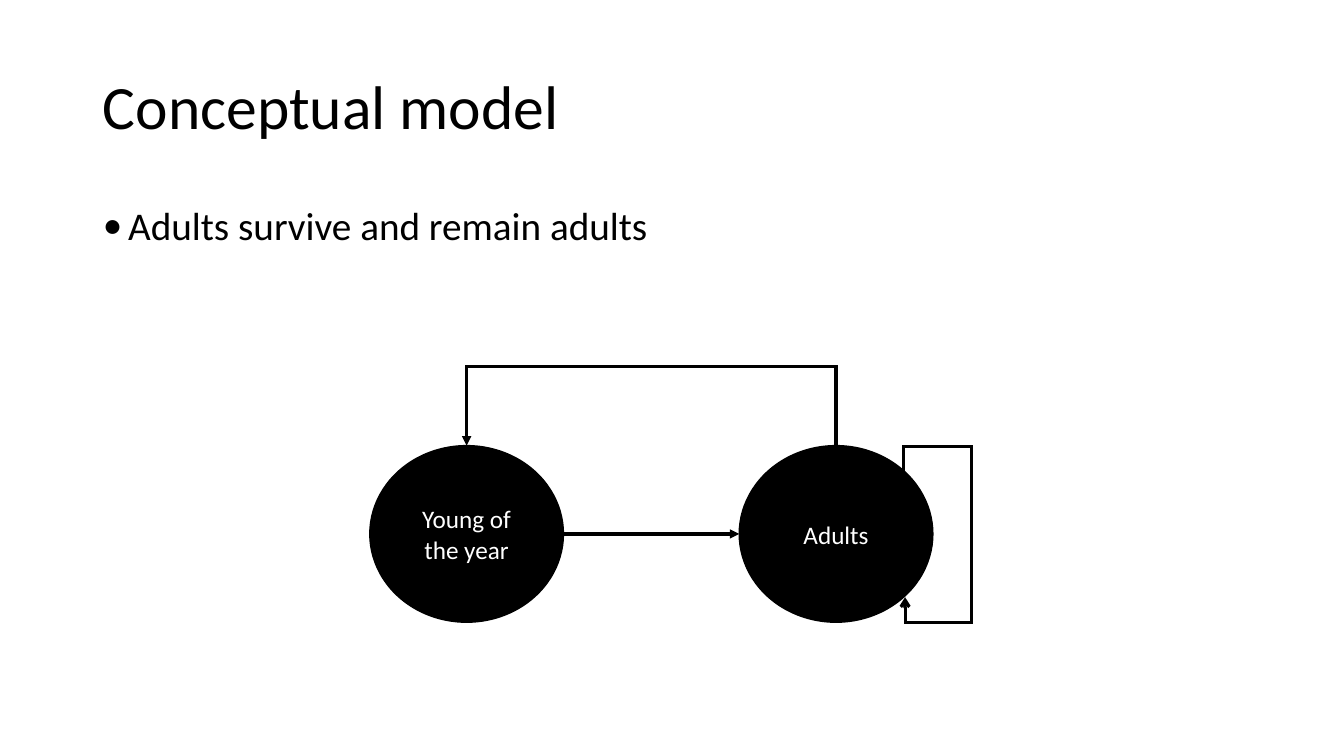
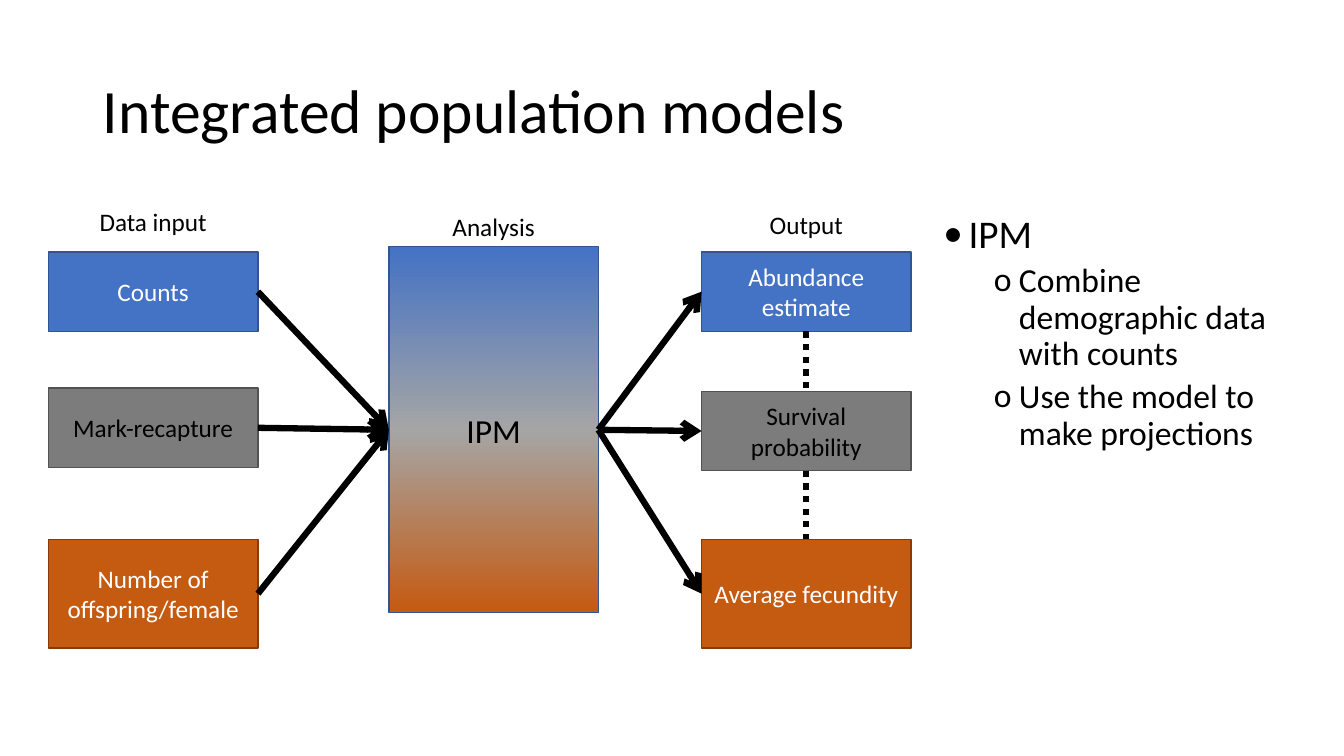
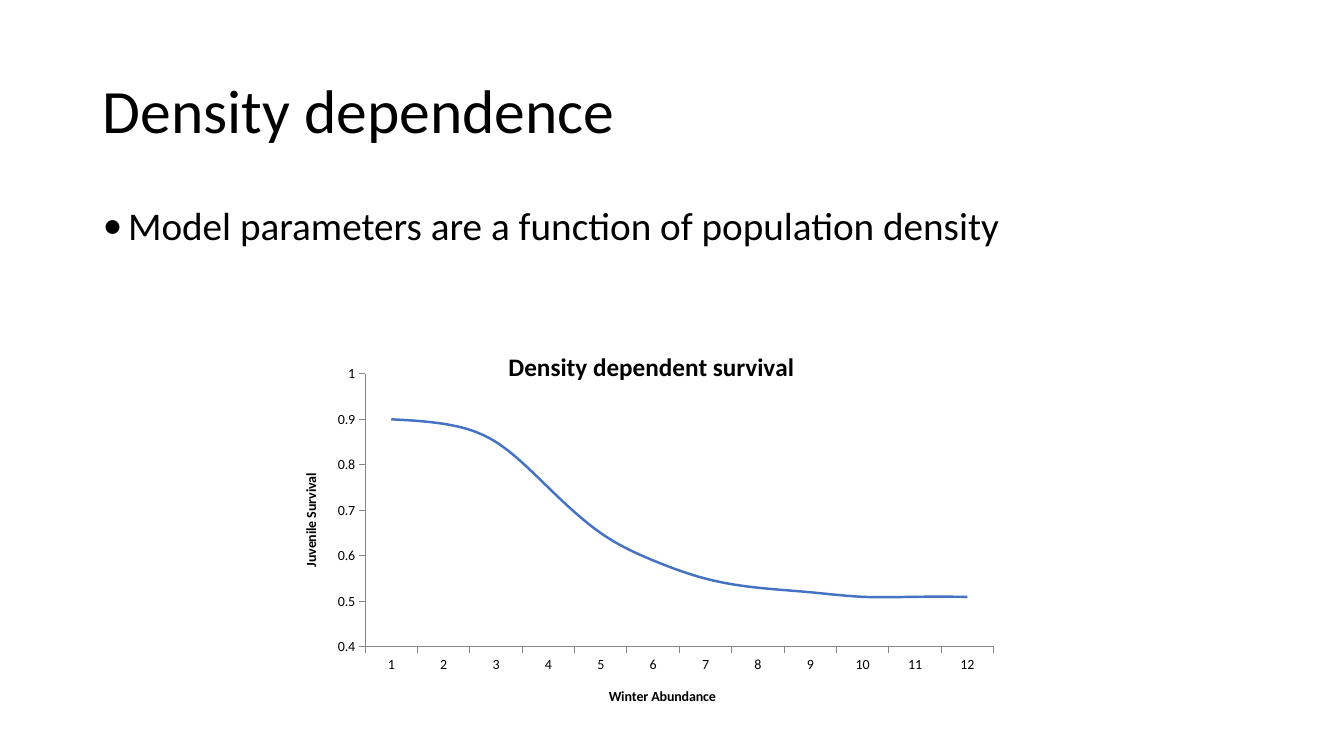
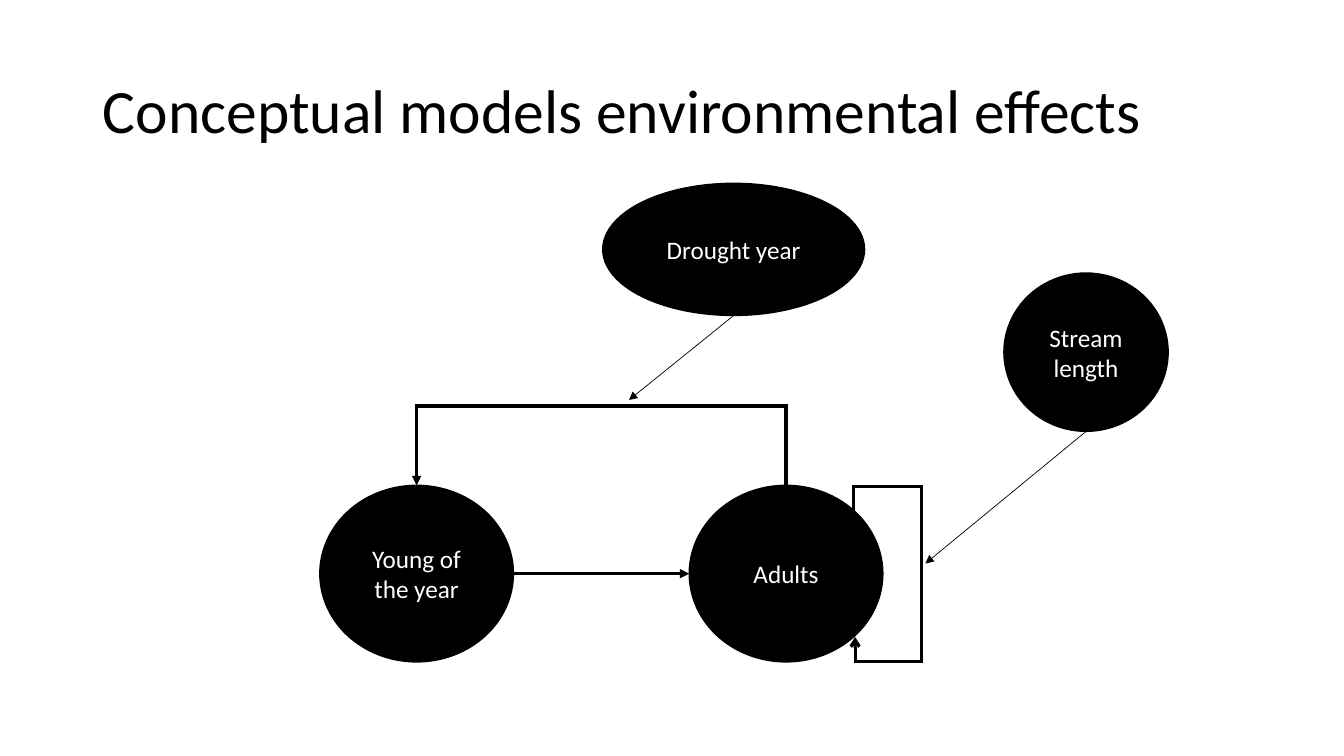
from lxml.etree import SubElement
from pptx import Presentation
from pptx.chart.data import CategoryChartData
from pptx.dml.color import RGBColor
from pptx.enum.chart import XL_CHART_TYPE, XL_TICK_MARK
from pptx.enum.dml import MSO_LINE
from pptx.enum.shapes import MSO_CONNECTOR, MSO_SHAPE
from pptx.enum.text import MSO_ANCHOR, PP_ALIGN
from pptx.oxml import parse_xml
from pptx.oxml.ns import nsdecls, qn
from pptx.util import Cm, Pt

rgb = RGBColor.from_string
STRAIGHT = MSO_CONNECTOR.STRAIGHT
FONT = "Calibri"
BLACK, WHITE, AXIS = "000000", "FFFFFF", "868686"
BLUE, GREY, ORANGE = "4472C4", "7C7C7C", "C55A11"
BLUE_EDGE, GREY_EDGE, ORANGE_EDGE = "325491", "525252", "843C0B"


def add_node(s, kind, box, text, fill=BLACK, edge=BLACK, color=WHITE, size=18):
    """Add a filled shape with centred text; box is left, top, width, height in cm."""
    sp = s.shapes.add_shape(kind, *[Cm(v) for v in box])
    sp.shadow.inherit = False
    sp.fill.solid()
    sp.fill.fore_color.rgb = rgb(fill)
    sp.line.color.rgb = rgb(edge)
    sp.line.width = Pt(1)
    sp.text_frame.vertical_anchor = MSO_ANCHOR.MIDDLE
    p = sp.text_frame.paragraphs[0]
    p.alignment = PP_ALIGN.CENTER
    r = p.add_run()
    r.text = text
    r.font.size = Pt(size)
    r.font.name = FONT
    r.font.color.rgb = rgb(color)
    return sp


def style_line(sp, width, head=None, dash=None):
    """Make a connector or open outline a plain black line, with an optional arrowhead."""
    sp.line.color.rgb = rgb(BLACK)
    sp.line.width = Pt(width)
    if dash:
        sp.line.dash_style = dash
    spPr = sp._element.spPr
    ln = spPr.find(qn("a:ln"))
    SubElement(ln, qn("a:miter"), lim="800000")
    if head:
        SubElement(ln, qn("a:tailEnd"), type=head)
    SubElement(spPr, qn("a:effectLst"))


prs = Presentation()
prs.slide_width, prs.slide_height = Cm(33.87), Cm(19.05)

# Shared title and list style
master = prs.slide_master
for ph, top, height in zip(master.placeholders, (1.02, 5.08), (3.68, 12.09)):
    ph.left, ph.top, ph.width, ph.height = Cm(2.34), Cm(top), Cm(29.21), Cm(height)
styles = master._element.find(qn("p:txStyles"))
title_level = styles.find(qn("p:titleStyle")).find(qn("a:lvl1pPr"))
body_style = styles.find(qn("p:bodyStyle"))
levels = [
    (title_level, "0", "0", 44, 0, None),
    (body_style.find(qn("a:lvl1pPr")), "228600", "-228600", 28, 10, "•"),
    (body_style.find(qn("a:lvl2pPr")), "685800", "-228600", 24, 5, "o"),
]
for level, margin, indent, size, before, bullet in levels:
    level.set("algn", "l")
    level.set("marL", margin)
    level.set("indent", indent)
    for tag in ("a:lnSpc", "a:spcBef"):
        for old in level.findall(qn(tag)):
            level.remove(old)
    level.insert(0, parse_xml(
        f'<a:lnSpc {nsdecls("a")}><a:spcPct val="90000"/></a:lnSpc>'))
    level.insert(1, parse_xml(
        f'<a:spcBef {nsdecls("a")}><a:spcPts val="{before * 100}"/></a:spcBef>'))
    level.find(qn("a:defRPr")).set("sz", str(size * 100))
    if bullet:
        level.find(qn("a:buChar")).set("char", bullet)
        level.find(qn("a:buFont")).set("typeface", FONT)

# Slides with their titles and lists of (level, text)
LIST, TITLE_ONLY = prs.slide_layouts[1], prs.slide_layouts[5]
contents = [
    (LIST, "Conceptual model", [(0, "Adults survive and remain adults")]),
    (LIST, "Integrated population models", [
        (0, "IPM"),
        (1, "Combine demographic data with counts"),
        (1, "Use the model to make projections")]),
    (LIST, "Density dependence",
     [(0, "Model parameters are a function of population density")]),
    (TITLE_ONLY, "Conceptual models environmental effects", []),
]
for layout, title, items in contents:
    s = prs.slides.add_slide(layout)
    r = s.shapes.title.text_frame.paragraphs[0].add_run()
    r.text = title
    r.font.name = FONT
    for i, (level, text) in enumerate(items):
        tf = s.placeholders[1].text_frame
        p = tf.add_paragraph() if i else tf.paragraphs[0]
        p.level = level
        r = p.add_run()
        r.text = text
        r.font.name = FONT
model, ipm_slide, density, effects = prs.slides

sp = model.shapes.title
sp.left, sp.top, sp.width, sp.height = Cm(2.34), Cm(0.92), Cm(29.21), Cm(3.68)
sp = ipm_slide.placeholders[1]
sp.left, sp.top, sp.width, sp.height = Cm(23.52), Cm(5.28), Cm(9.12), Cm(12.09)

# Life cycle, on the first and the last slide
DIAMETER_X, DIAMETER_Y = 4.88, 4.45
for s, young_x, y in ((model, 9.32, 11.23), (effects, 8.06, 12.23)):
    adult_x = young_x + 9.31
    for x, text in ((young_x, "Young of the year"), (adult_x, "Adults")):
        add_node(s, MSO_SHAPE.OVAL, (x, y, DIAMETER_X, DIAMETER_Y), text)
    middle = Cm(y + DIAMETER_Y / 2)
    growth = s.shapes.add_connector(
        STRAIGHT, Cm(young_x + DIAMETER_X), middle, Cm(adult_x), middle)
    style_line(growth, 2.25, "triangle")

    young_mid, adult_mid = young_x + DIAMETER_X / 2, adult_x + DIAMETER_X / 2
    loop_x, loop_right, bottom = adult_x + 4.15, adult_x + 5.86, y + DIAMETER_Y
    births = [(adult_mid, y), (adult_mid, y - 2), (young_mid, y - 2), (young_mid, y)]
    survival = [(loop_x, y + 0.66), (loop_x, y + 0.03), (loop_right, y + 0.03),
                (loop_right, bottom), (loop_x + 0.03, bottom),
                (loop_x + 0.03, bottom - 0.63)]
    for route, head in ((births, "triangle"), (survival, "arrow")):
        points = [(Cm(px), Cm(py)) for px, py in route]
        builder = s.shapes.build_freeform(*points[0], scale=1.0)
        builder.add_line_segments(points[1:], close=False)
        sp = builder.convert_to_shape()
        sp.fill.background()
        style_line(sp, 2.25, head)

# Integrated population model: inputs, analysis, outputs
BOX_W = 5.28
INPUT_X, ANALYSIS_X, OUTPUT_X = 1.22, 9.8, 17.68
rows = [
    ("Counts", 6.35, "Abundance estimate", 6.35, 2, BLUE, BLUE_EDGE, WHITE),
    ("Mark-recapture", 9.78, "Survival probability", 9.86, 2, GREY, GREY_EDGE, BLACK),
    ("Number of offspring/female", 13.59, "Average fecundity", 13.59, 2.74,
     ORANGE, ORANGE_EDGE, WHITE),
]
s = ipm_slide
analysis = add_node(s, MSO_SHAPE.RECTANGLE, (ANALYSIS_X, 6.22, BOX_W, 9.22), "IPM",
                    BLUE, BLUE_EDGE, BLACK, 24)
stops = "".join(f'<a:gs pos="{pos}"><a:srgbClr val="{color}"/></a:gs>'
                for pos, color in ((0, BLUE), (50000, "A5A5A5"), (100000, ORANGE)))
spPr = analysis._element.spPr
spPr.replace(spPr.find(qn("a:solidFill")), parse_xml(
    f'<a:gradFill {nsdecls("a")} rotWithShape="1"><a:gsLst>{stops}</a:gsLst>'
    '<a:lin ang="5400000" scaled="0"/></a:gradFill>'))

links, outputs = [], []
for data, data_y, result, result_y, height, fill, edge, color in rows:
    source = add_node(s, MSO_SHAPE.RECTANGLE, (INPUT_X, data_y, BOX_W, height),
                      data, fill, edge, color)
    output = add_node(s, MSO_SHAPE.RECTANGLE, (OUTPUT_X, result_y, BOX_W, height),
                      result, fill, edge, color)
    links += [(source, 3, analysis, 1, "arrow", None),
              (analysis, 3, output, 1, "arrow", None)]
    outputs.append(output)
links += [(upper, 2, lower, 0, None, MSO_LINE.ROUND_DOT)
          for upper, lower in zip(outputs, outputs[1:])]
for start, start_side, end, end_side, head, dash in links:
    link = s.shapes.add_connector(STRAIGHT, 0, 0, 0, 0)
    link.begin_connect(start, start_side)
    link.end_connect(end, end_side)
    style_line(link, 4.5, head, dash)

for x, y, text in ((INPUT_X, 5.08, "Data input"), (ANALYSIS_X, 5.21, "Analysis"),
                   (OUTPUT_X, 5.16, "Output")):
    tf = s.shapes.add_textbox(Cm(x), Cm(y), Cm(BOX_W), Cm(1.22)).text_frame
    tf.word_wrap = True
    p = tf.paragraphs[0]
    p.alignment = PP_ALIGN.CENTER
    r = p.add_run()
    r.text = text
    r.font.size = Pt(18)
    r.font.name = FONT
    r.font.color.rgb = rgb(BLACK)

# Density dependence chart
data = CategoryChartData()
data.categories = [str(n) for n in range(1, 13)]
data.add_series("Series 1", (0.9, 0.89, 0.85, 0.75, 0.65, 0.59,
                             0.55, 0.53, 0.52, 0.51, 0.51, 0.51))
chart = density.shapes.add_chart(XL_CHART_TYPE.LINE, Cm(6.99), Cm(7.62),
                                 Cm(18.42), Cm(10.59), data).chart
chart.has_legend = False
chart.font.size = Pt(10)
chart.font.name = FONT
chart.font.color.rgb = rgb(BLACK)
plot = chart.plots[0]
plot.vary_by_categories = False
series = plot.series[0]
series.smooth = True
series.format.line.color.rgb = rgb(BLUE)
series.format.line.width = Pt(1.75)

chart.has_title = True
for owner, text, size in ((chart.chart_title, "Density dependent survival", 18),
                          (chart.category_axis.axis_title, "Winter Abundance", 10),
                          (chart.value_axis.axis_title, "Juvenile Survival", 10)):
    r = owner.text_frame.paragraphs[0].add_run()
    r.text = text
    r.font.size = Pt(size)
    r.font.bold = True
    r.font.name = FONT
    r.font.color.rgb = rgb(BLACK)
for axis in (chart.category_axis, chart.value_axis):
    axis.has_major_gridlines = False
    axis.major_tick_mark = XL_TICK_MARK.OUTSIDE
    axis.minor_tick_mark = XL_TICK_MARK.NONE
    axis.format.line.color.rgb = rgb(AXIS)
    axis.format.line.width = Pt(0.75)
chart.value_axis.minimum_scale = 0.4
chart.value_axis.maximum_scale = 1
chart.value_axis.major_unit = 0.1
chart.value_axis.tick_labels.number_format = "General"
chart.value_axis.tick_labels.number_format_is_linked = False

# Places of plot and titles, as fractions of the chart
space = chart._chartSpace
plot_area = next(space.iter(qn("c:plotArea")))
chart_title, x_title, y_title = space.iter(qn("c:title"))
for part, index, place in (
        (plot_area, 0, {"x": 0.12, "y": 0.17, "w": 0.86, "h": 0.65}),
        (chart_title, 1, {"x": 0.31, "y": 0.1}),
        (x_title, 1, {"x": 0.45, "y": 0.91}),
        (y_title, 1, {"x": 0.03, "y": 0.4})):
    old = part.find(qn("c:layout"))
    if old is not None:
        part.remove(old)
    target = '<c:layoutTarget val="inner"/>' if "w" in place else ""
    modes = "".join(f'<c:{k}Mode val="edge"/>' for k in "xy")
    values = "".join(f'<c:{k} val="{v}"/>' for k, v in place.items())
    part.insert(index, parse_xml(
        f'<c:layout {nsdecls("c")}><c:manualLayout>{target}{modes}{values}'
        '</c:manualLayout></c:layout>'))

# Environmental effects
for text, box, end_x, end_y in (
        ("Stream length", (25.3, 6.88, 4.14, 3.99), 23.32, 14.2),
        ("Drought year", (15.19, 4.62, 6.6, 3.33), 15.85, 10.08)):
    add_node(effects, MSO_SHAPE.OVAL, box, text)
    x, y, w, h = box
    arrow = effects.shapes.add_connector(
        STRAIGHT, Cm(x + w / 2), Cm(y + h), Cm(end_x), Cm(end_y))
    style_line(arrow, 0.5, "triangle")

prs.save("out.pptx")
